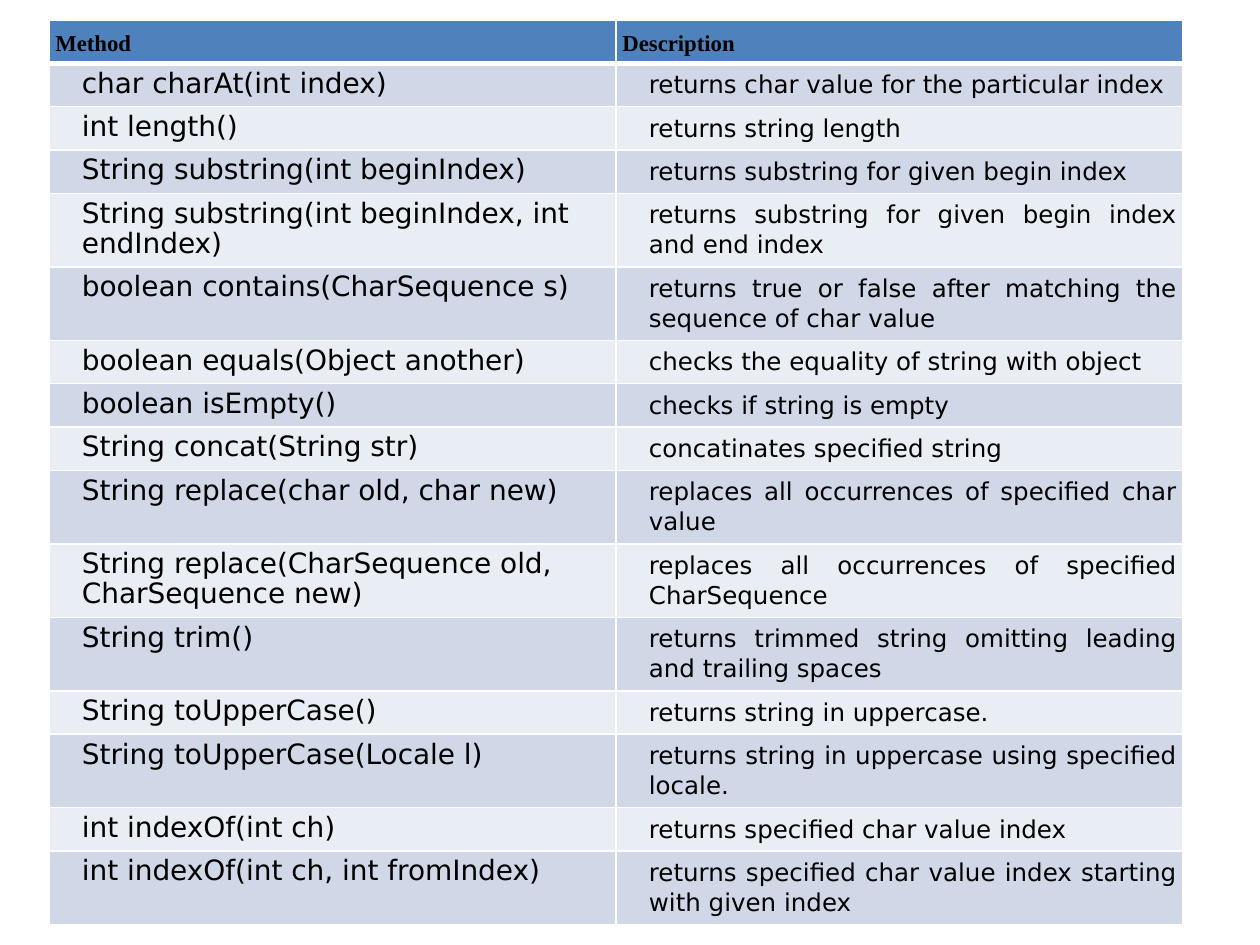
"""Build a slide with a table of String methods and their descriptions."""
from dataclasses import dataclass

from lxml.etree import SubElement
from pptx import Presentation
from pptx.dml.color import RGBColor
from pptx.enum.text import PP_ALIGN
from pptx.oxml.ns import qn
from pptx.util import Inches, Pt

COLORS = {
    "header": "4F81BD",
    "odd": "D0D8E8",
    "even": "E9EDF4",
    "border": "FFFFFF",
    "text": "000000",
}
TABLE_HEIGHT = 7.18
LINE_HEIGHT = 0.24


@dataclass(frozen=True)
class Method:
    signature: str
    description: str
    lines: int = 1


@dataclass(frozen=True)
class TextStyle:
    font: str
    size: int
    bold: bool = False
    indent: float = 0.21
    alignment: PP_ALIGN = PP_ALIGN.LEFT


HEADER_STYLE = TextStyle("Times New Roman", 13, bold=True, indent=0)
COLUMN_STYLES = (
    TextStyle("DejaVu Sans", 16),
    TextStyle("DejaVu Sans", 14, alignment=PP_ALIGN.JUSTIFY),
)
ROWS = (
    Method("Method", "Description"),
    Method("char charAt(int index)", "returns char value for the particular index"),
    Method("int length()", "returns string length"),
    Method("String substring(int beginIndex)", "returns substring for given begin index"),
    Method("String substring(int beginIndex, int endIndex)",
           "returns substring for given begin index and end index", 2),
    Method("boolean contains(CharSequence s)",
           "returns true or false after matching the sequence of char value", 2),
    Method("boolean equals(Object another)", "checks the equality of string with object"),
    Method("boolean isEmpty()", "checks if string is empty"),
    Method("String concat(String str)", "concatinates specified string"),
    Method("String replace(char old, char new)",
           "replaces all occurrences of specified char value", 2),
    Method("String replace(CharSequence old, CharSequence new)",
           "replaces all occurrences of specified CharSequence", 2),
    Method("String trim()", "returns trimmed string omitting leading and trailing spaces", 2),
    Method("String toUpperCase()", "returns string in uppercase."),
    Method("String toUpperCase(Locale l)",
           "returns string in uppercase using specified locale.", 2),
    Method("int indexOf(int ch)", "returns specified char value index"),
    Method("int indexOf(int ch, int fromIndex)",
           "returns specified char value index starting with given index", 2),
)


def set_borders(cell, top: int, bottom: int) -> None:
    """Give the cell solid borders with the given top and bottom widths in points."""
    properties = cell._tc.get_or_add_tcPr()
    widths = {"a:lnL": 1, "a:lnR": 1, "a:lnT": top, "a:lnB": bottom}
    for position, (tag, width) in enumerate(widths.items()):
        line = SubElement(properties, qn(tag), w=str(Pt(width)))
        fill = SubElement(line, qn("a:solidFill"))
        SubElement(fill, qn("a:srgbClr"), val=COLORS["border"])
        properties.insert(position, line)


def fill_cell(cell, text: str, style: TextStyle, color: str) -> None:
    """Write styled text into a cell and colour its background."""
    cell.margin_left = cell.margin_right = Inches(0.05)
    cell.margin_top = cell.margin_bottom = Inches(0.05)
    cell.fill.solid()
    cell.fill.fore_color.rgb = RGBColor.from_string(color)
    cell.text = text
    paragraph = cell.text_frame.paragraphs[0]
    paragraph.alignment = style.alignment
    paragraph.line_spacing = Pt(17.2)
    paragraph_properties = paragraph._p.get_or_add_pPr()
    paragraph_properties.set("marL", str(Inches(style.indent)))
    paragraph_properties.set("indent", "0")
    paragraph.font.name = style.font
    paragraph.font.size = Pt(style.size)
    paragraph.font.bold = style.bold
    paragraph.font.color.rgb = RGBColor.from_string(COLORS["text"])


def add_method_table(slide, rows: tuple[Method, ...]) -> None:
    """Add the banded table with a header row."""
    frame = slide.shapes.add_table(
        len(rows), 2, Inches(0.39), Inches(0.16), Inches(9), Inches(TABLE_HEIGHT))
    table = frame.table
    line_total = sum(row.lines for row in rows)
    padding = (TABLE_HEIGHT - line_total * LINE_HEIGHT) / len(rows)
    for index, row in enumerate(rows):
        table.rows[index].height = Inches(row.lines * LINE_HEIGHT + padding)
        band = "header" if index == 0 else "odd" if index % 2 else "even"
        for column, text in enumerate((row.signature, row.description)):
            cell = table.cell(index, column)
            style = HEADER_STYLE if index == 0 else COLUMN_STYLES[column]
            fill_cell(cell, text, style, COLORS[band])
            set_borders(cell, top=3 if index == 1 else 1, bottom=3 if index == 0 else 1)


def main() -> None:
    """Create and save the presentation."""
    presentation = Presentation()
    presentation.slide_width = Inches(10)
    presentation.slide_height = Inches(7.5)
    slide = presentation.slides.add_slide(presentation.slide_layouts[6])
    add_method_table(slide, ROWS)
    presentation.save("out.pptx")


if __name__ == "__main__":
    main()
